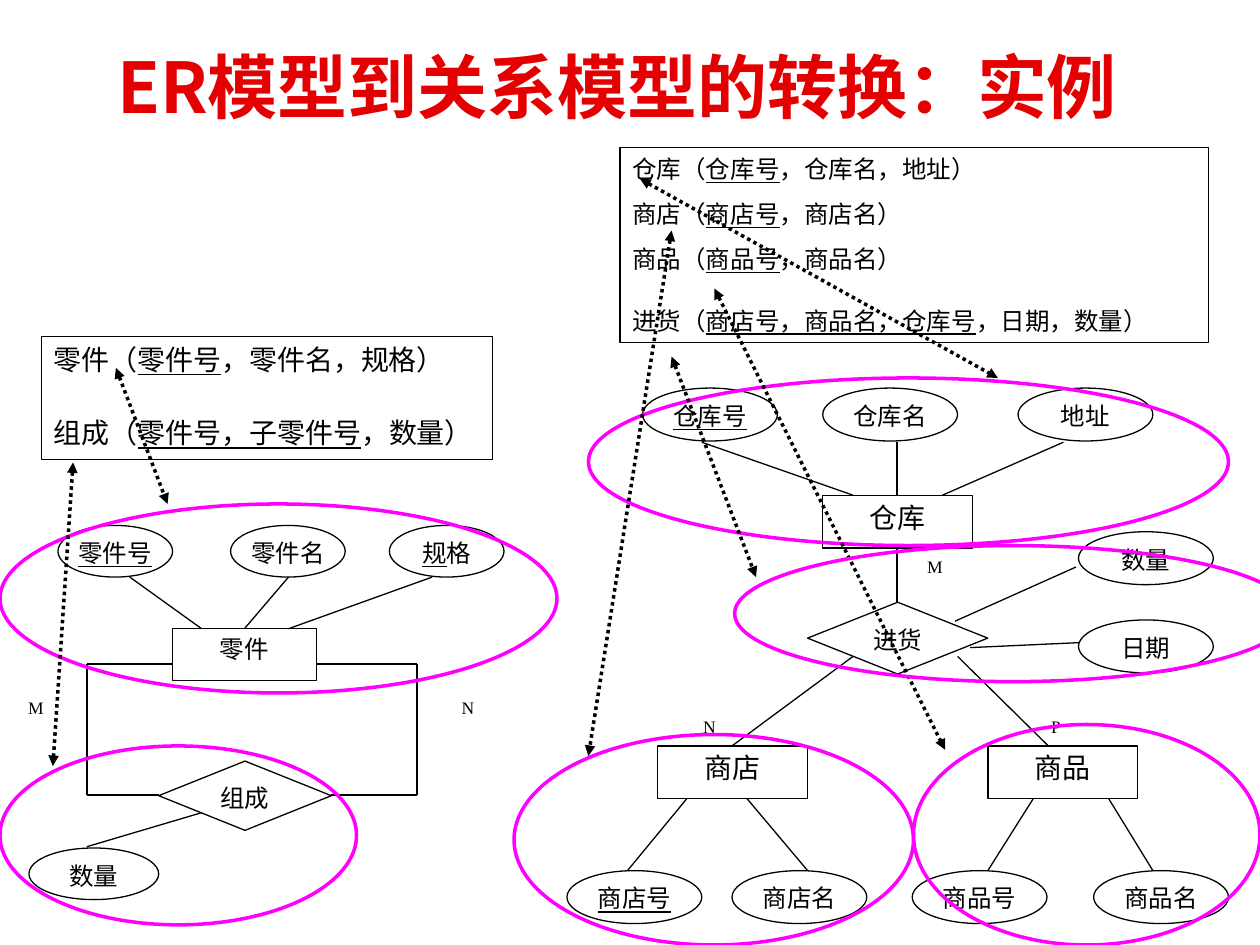
from lxml.etree import SubElement
from pptx import Presentation
from pptx.dml.color import RGBColor
from pptx.enum.dml import MSO_LINE
from pptx.enum.shapes import MSO_CONNECTOR, MSO_SHAPE
from pptx.enum.text import MSO_ANCHOR, PP_ALIGN
from pptx.oxml.ns import qn
from pptx.util import Inches, Pt

RED = RGBColor(0xE4, 0x00, 0x00)
BLACK = RGBColor(0x00, 0x00, 0x00)
WHITE = RGBColor(0xFF, 0xFF, 0xFF)
MAGENTA = RGBColor(0xFF, 0x00, 0xFF)
SANS = "Noto Sans CJK SC"
SERIF = "Times New Roman"


def write(paragraph, marked, size, face, align):
    """Underscores enclose the underlined key attributes."""
    paragraph.alignment = align
    paragraph.font.size = Pt(size)
    paragraph.font.name = face
    paragraph.font.color.rgb = BLACK
    for index, part in enumerate(marked.split("_")):
        if part:
            run = paragraph.add_run()
            run.text = part
            if index % 2:
                run.font.underline = True


def connect(x1, y1, x2, y2, width=0.75):
    link = slide.shapes.add_connector(
        MSO_CONNECTOR.STRAIGHT, Inches(x1), Inches(y1), Inches(x2), Inches(y2))
    link.line.color.rgb = BLACK
    link.line.width = Pt(width)
    SubElement(link._element.spPr, qn("a:effectLst"))
    return link


prs = Presentation()
prs.slide_width, prs.slide_height = Inches(10), Inches(7.5)
slide = prs.slides.add_slide(prs.slide_layouts[5])

title = slide.shapes.title
title.left, title.top = Inches(0.83), Inches(0.17)
title.width, title.height = Inches(8.52), Inches(1.01)
title.text_frame.text = "ER模型到关系模型的转换：实例"
title.text_frame.vertical_anchor = MSO_ANCHOR.MIDDLE
heading = title.text_frame.paragraphs[0]
heading.alignment = PP_ALIGN.LEFT
heading.font.size = Pt(40)
heading.font.bold = True
heading.font.name = SANS
heading.font.color.rgb = RED

node_groups = [
    (MSO_SHAPE.RECTANGLE, 1.14, 0.41, 14, [("零件", 1.37, 4.99)]),
    (MSO_SHAPE.OVAL, 0.91, 0.41, 14, [
        ("_零件号_", 0.46, 4.17), ("零件名", 1.83, 4.17), ("_规_格", 3.09, 4.17)]),
    (MSO_SHAPE.OVAL, 1.03, 0.41, 14, [("数量", 0.23, 6.73)]),
    (MSO_SHAPE.DIAMOND, 1.37, 0.55, 14, [("组成", 1.26, 6.04)]),
    (MSO_SHAPE.RECTANGLE, 1.19, 0.42, 16, [
        ("仓库", 6.53, 3.93), ("商品", 7.84, 5.92), ("商店", 5.22, 5.92)]),
    (MSO_SHAPE.OVAL, 1.07, 0.42, 14, [
        ("_仓库号_", 5.1, 3.08), ("仓库名", 6.53, 3.08), ("地址", 8.08, 3.08),
        ("数量", 8.56, 4.22), ("_商店号_", 4.5, 6.91), ("商品名", 8.68, 6.91),
        ("商品号", 7.24, 6.91), ("商店名", 5.81, 6.91), ("日期", 8.56, 4.92)]),
    (MSO_SHAPE.DIAMOND, 1.43, 0.57, 14, [("进货", 6.41, 4.78)]),
]
for outline, width, height, size, nodes in node_groups:
    for name, left, top in nodes:
        node = slide.shapes.add_shape(
            outline, Inches(left), Inches(top), Inches(width), Inches(height))
        node.shadow.inherit = False
        node.fill.solid()
        node.fill.fore_color.rgb = WHITE
        node.line.color.rgb = BLACK
        node.line.width = Pt(0.75)
        frame = node.text_frame
        frame.margin_left = frame.margin_right = frame.margin_bottom = 0
        frame.margin_top = Inches(0.04)
        frame.vertical_anchor = MSO_ANCHOR.TOP
        write(frame.paragraphs[0], name, size, SERIF, PP_ALIGN.CENTER)

links = [
    (1.6, 6.45, 0.69, 6.72),
    (0.69, 5.27, 1.37, 5.27), (0.69, 5.27, 0.69, 6.31), (0.69, 6.31, 1.26, 6.31),
    (2.51, 5.27, 3.31, 5.27), (3.31, 5.27, 3.31, 6.31), (3.31, 6.31, 2.63, 6.31),
    (1.03, 4.58, 1.6, 4.99), (2.29, 4.58, 1.94, 4.99), (3.43, 4.58, 2.29, 4.99),
    (5.57, 3.51, 6.77, 3.93), (7.12, 3.51, 7.12, 3.93), (8.44, 3.51, 7.48, 3.93),
    (7.12, 4.36, 7.12, 4.78), (7.6, 5.21, 8.32, 5.92), (6.77, 5.21, 5.81, 5.92),
    (7.58, 4.93, 8.54, 4.5), (7.7, 5.14, 8.57, 5.1),
    (5.45, 6.34, 4.98, 6.91), (5.93, 6.34, 6.41, 6.91),
    (8.2, 6.34, 7.84, 6.91), (8.8, 6.34, 9.15, 6.91),
]
for ends in links:
    connect(*ends)

cardinalities = [
    ("M", 0, 5.48, 0.57), ("N", 3.43, 5.48, 0.57),
    ("M", 7.12, 4.36, 0.6), ("N", 5.33, 5.63, 0.6), ("P", 8.08, 5.63, 0.6),
]
for letter, left, top, width in cardinalities:
    cardinality = slide.shapes.add_textbox(
        Inches(left), Inches(top), Inches(width), Inches(0.42))
    cardinality.text_frame.word_wrap = True
    write(cardinality.text_frame.paragraphs[0], letter, 10, SERIF, PP_ALIGN.CENTER)

schemas = [
    (0.33, 2.67, 3.58, 0.98, 16, 19, [
        ("零件（_零件号_，零件名，规格）", 0),
        ("组成（_零件号，子零件号_，数量）", 23)]),
    (4.92, 1.17, 4.67, 1.55, 14, 17, [
        ("仓库（_仓库号_，仓库名，地址）", 0),
        ("商店（_商店号_，商店名）", 8.8),
        ("商品（_商品号_，商品名）", 8.8),
        ("进货（_商店号，商品名，仓库号_，日期，数量）", 18)]),
]
for left, top, width, height, size, pitch, relations in schemas:
    schema = slide.shapes.add_shape(
        MSO_SHAPE.RECTANGLE, Inches(left), Inches(top), Inches(width), Inches(height))
    schema.shadow.inherit = False
    schema.fill.background()
    schema.line.color.rgb = BLACK
    schema.line.width = Pt(0.75)
    frame = schema.text_frame
    frame.vertical_anchor = MSO_ANCHOR.TOP
    for index, (relation, gap) in enumerate(relations):
        paragraph = frame.add_paragraph() if index else frame.paragraphs[0]
        paragraph.line_spacing = Pt(pitch)
        if gap:
            paragraph.space_before = Pt(gap)
        write(paragraph, relation, size, SANS, PP_ALIGN.JUSTIFY)

mappings = [
    ((0, 4, 4.42, 1.5), (0.92, 2.92, 1.33, 4)),
    ((0, 5.92, 2.83, 1.42), (0.58, 3.67, 0.42, 6.08)),
    ((4.67, 3, 5.08, 1.33), (5.08, 1.42, 7.92, 3)),
    ((4.08, 5.83, 3.17, 1.67), (5.33, 1.83, 4.67, 6)),
    ((7.25, 5.75, 2.75, 1.75), (5.67, 2.29, 7.5, 5.95)),
    ((5.83, 4.33, 4.42, 1.08), (5.33, 2.83, 6, 4.58)),
]
for bounds, ends in mappings:
    ring = slide.shapes.add_shape(MSO_SHAPE.OVAL, *[Inches(value) for value in bounds])
    ring.shadow.inherit = False
    ring.fill.background()
    ring.line.color.rgb = MAGENTA
    ring.line.width = Pt(2)
    arrow = connect(*ends, width=2)
    arrow.line.dash_style = MSO_LINE.ROUND_DOT
    for end in ("a:headEnd", "a:tailEnd"):
        SubElement(arrow.line._get_or_add_ln(), qn(end), type="triangle")

prs.save("out.pptx")
